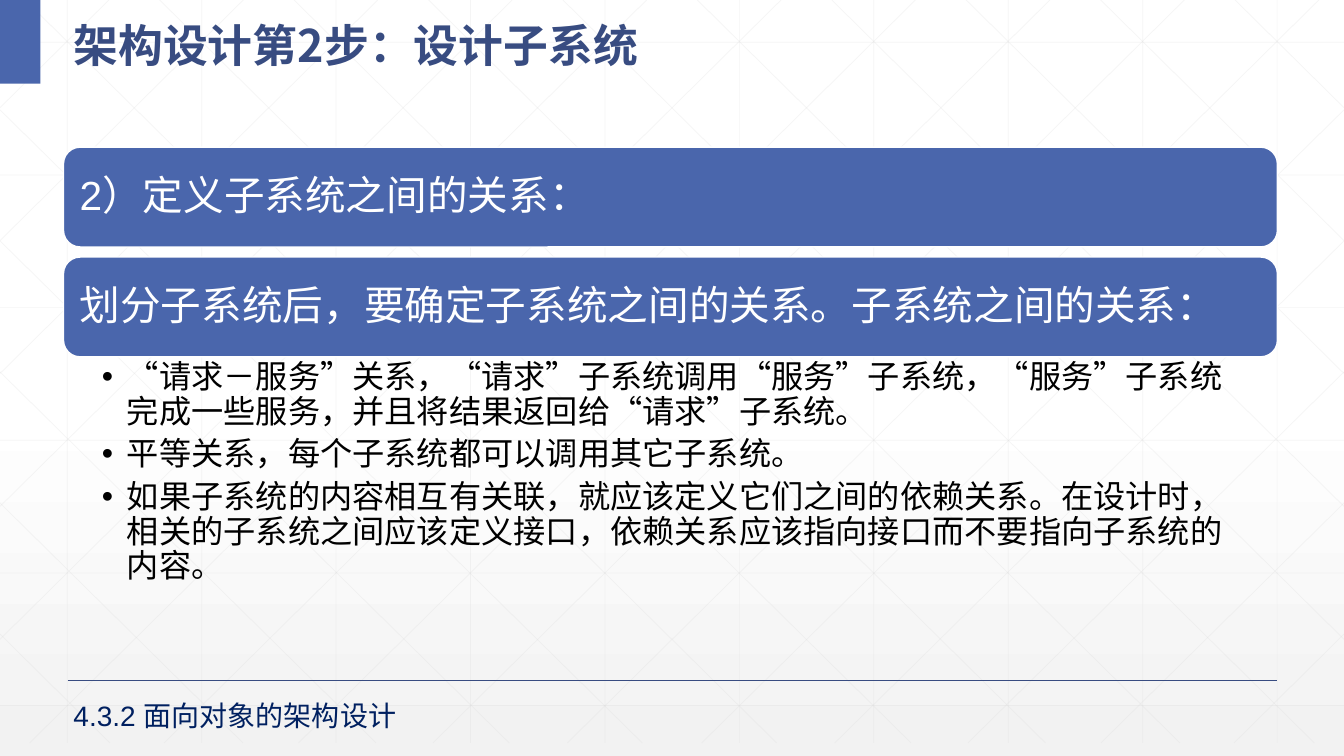
import copy
from lxml import etree
from pptx import Presentation, util as u
from pptx.dml.color import RGBColor
from pptx.enum import shapes, text
from pptx.oxml.ns import qn

WIDTH, HEIGHT, GRID_BOTTOM = 13.33, 7.5, 7.37
CJK = "Noto Sans CJK SC"
BLUE, NAVY, WHITE = "4A66AC", "384C81", "FFFFFF"


def colour(value):
    return RGBColor.from_string(value)


def inches(*lengths):
    return [u.Inches(length) for length in lengths]


def add_line(page, start, end, tint, weight, opacity=100):
    line = page.shapes.add_connector(
        shapes.MSO_CONNECTOR.STRAIGHT, *inches(*start, *end))
    line.line.color.rgb = colour(tint)
    line.line.width = u.Pt(weight)
    properties = line.element.spPr
    etree.SubElement(properties, qn("a:effectLst"))
    if opacity < 100:
        solid = properties.find(".//" + qn("a:srgbClr"))
        etree.SubElement(solid, qn("a:alpha")).set("val", str(opacity * 1000))


def add_block(page, kind, box, fill, edge=None):
    block = page.shapes.add_shape(kind, *inches(*box))
    block.shadow.inherit = False
    block.fill.solid()
    block.fill.fore_color.rgb = colour(fill)
    if edge:
        block.line.color.rgb = colour(edge)
        block.line.width = u.Pt(1)
    else:
        block.line.fill.background()
    return block


def add_text(page, box, paragraphs, size, tint, font="Arial", bold=False,
             anchor=text.MSO_ANCHOR.TOP, insets=(0.1, 0.05, 0.1, 0.05),
             spacing=1, after=0, bullets=False):
    frame = page.shapes.add_textbox(*inches(*box)).text_frame
    frame.word_wrap = True
    frame.vertical_anchor = anchor
    (frame.margin_left, frame.margin_top,
     frame.margin_right, frame.margin_bottom) = inches(*insets)
    frame.text = "\n".join(paragraphs)
    for para in frame.paragraphs:
        para.line_spacing = spacing
        para.space_after = u.Pt(after)
        if bullets:
            properties = para._p.get_or_add_pPr()
            properties.set("marL", str(u.Inches(0.25)))
            properties.set("indent", str(-u.Inches(0.25)))
            etree.SubElement(properties, qn("a:buFont")).set("typeface", "Arial")
            etree.SubElement(properties, qn("a:buChar")).set("char", "•")
        for span in para.runs:
            span.font.name = font
            span.font.size = u.Pt(size)
            span.font.bold = bold
            span.font.color.rgb = colour(tint)
            properties = span._r.get_or_add_rPr()
            properties.set("lang", "zh-CN")
            properties.find(qn("a:latin")).addnext(
                properties.makeelement(qn("a:ea"), {"typeface": CJK}))


def draw_background(page):
    # Vertical gradient from white to light grey
    fill = page.background.fill
    fill.gradient()
    fill.gradient_angle = 270
    first = page.element.find(".//" + qn("a:gs"))
    first.addnext(copy.deepcopy(first))
    stops = zip(fill.gradient_stops, (0, 0.53, 1), (WHITE, WHITE, "F2F2F2"))
    for stop, position, tint in stops:
        stop.position = position
        stop.color.rgb = colour(tint)

    # Upright and level grid lines
    step = 4 / 3
    lines = []
    for column in range(10):
        x = (column + 0.5) * step
        lines.append(((x, 0), (x, GRID_BOTTOM)))
    for row in range(6):
        y = 0.42 + row * 1.316
        lines.append(((0, y), (WIDTH, y)))

    # Diagonals, each with its mirror image
    slope = 0.989
    diagonals = []
    for column in range(10):
        x = 0.25 + column * step
        end = min(x + GRID_BOTTOM / slope, WIDTH)
        diagonals.append(((x, 0), (end, (end - x) * slope)))
    for row in range(5):
        diagonals.append(((0, 1.09 + row * 1.3),
                          (6.37 - row * 1.32, GRID_BOTTOM)))
    for (x1, y1), (x2, y2) in diagonals:
        lines.append(((x1, y1), (x2, y2)))
        lines.append(((WIDTH - x1, y1), (WIDTH - x2, y2)))
    for start, end in lines:
        add_line(page, start, end, "D9D9D9", 0.5, 25)


def draw_header(page, box, title):
    left, top, width, height = box
    add_block(page, shapes.MSO_SHAPE.RECTANGLE, (0, top, 0.4, 0.83), BLUE)
    add_text(page, (left, top, width, height), [title], 32, NAVY, CJK,
             bold=True, anchor=text.MSO_ANCHOR.MIDDLE, spacing=1.3)


def draw_relations(page, box, headings, points):
    left, top, width, height = box
    bar_height, pitch, pad = 0.99, 1.09, 0.04
    for index, heading in enumerate(headings):
        y = top + index * pitch
        bar = add_block(page, shapes.MSO_SHAPE.ROUNDED_RECTANGLE,
                        (left, y, width, bar_height), BLUE, WHITE)
        bar.adjustments[0] = 0.1667
        add_text(page, (left + pad, y + pad, width - 2 * pad, bar_height - 2 * pad),
                 [heading], 29, WHITE, anchor=text.MSO_ANCHOR.MIDDLE,
                 insets=(0.12,) * 4, spacing=0.9)
    offset = (len(headings) - 1) * pitch + bar_height
    add_text(page, (left, top + offset, width, height - offset), points, 23,
             "000000", insets=(0.38, 0.04, 0.23, 0.04), spacing=0.9,
             after=5.5, bullets=True)


def draw_footer(page, box, section):
    left, top, width, height = box
    add_line(page, (0.67, top - 0.13), (12.67, top - 0.13), NAVY, 1)
    add_text(page, (left, top, width, height), [section], 20, "002060")


def main():
    deck = Presentation()
    deck.slide_width, deck.slide_height = inches(WIDTH, HEIGHT)
    page = deck.slides.add_slide(deck.slide_layouts[6])
    draw_background(page)
    draw_header(page, (0.63, 0, 7.23, 0.73), "架构设计第2步：设计子系统")
    draw_relations(page, (0.63, 1.46, 12.04, 4.9), [
        "2）定义子系统之间的关系：",
        "划分子系统后，要确定子系统之间的关系。子系统之间的关系：",
    ], [
        "“请求－服务”关系，“请求”子系统调用“服务”子系统，“服务”子系统"
        "完成一些服务，并且将结果返回给“请求”子系统。",
        "平等关系，每个子系统都可以调用其它子系统。",
        "如果子系统的内容相互有关联，就应该定义它们之间的依赖关系。在设计时，"
        "相关的子系统之间应该定义接口，依赖关系应该指向接口而不要指向子系统的内容。",
    ])
    draw_footer(page, (0.63, 6.88, 4.69, 0.44), "4.3.2 面向对象的架构设计")
    deck.save("out.pptx")


if __name__ == "__main__":
    main()
